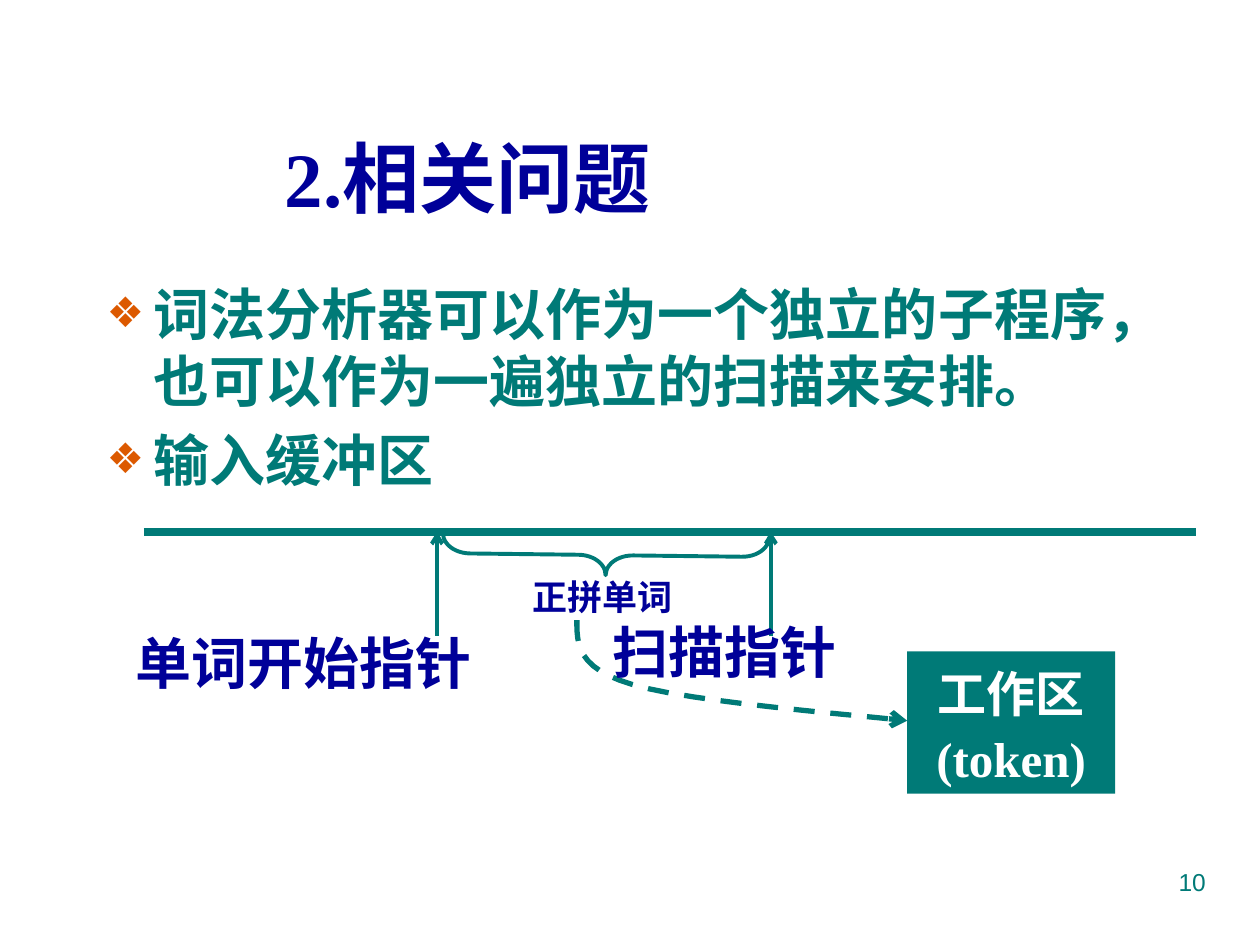
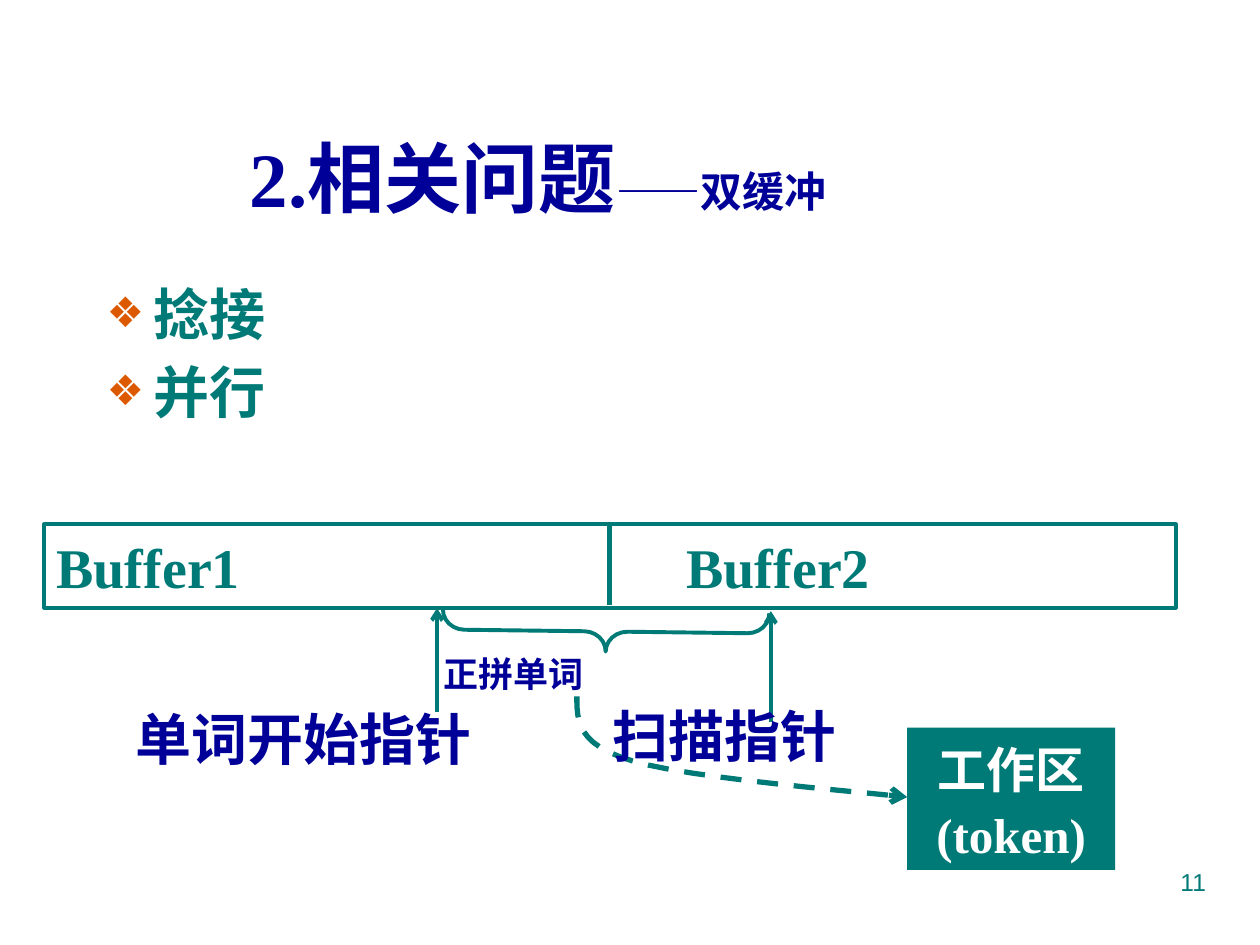
from lxml import etree
from pptx import Presentation
from pptx.dml.color import RGBColor
from pptx.enum import dml, lang, shapes, text
from pptx.oxml import ns
from pptx.util import Cm, Pt

TEAL = RGBColor(0x00, 0x7A, 0x77)
NAVY = RGBColor(0x00, 0x00, 0x99)
ORANGE = "DC5900"
WHITE = RGBColor(0xFF, 0xFF, 0xFF)
SERIF, SANS = "Times New Roman", "Arial"
BULLET_INDENT = Cm(0.95)


def add_xml(parent, tag, **attrs):
    return etree.SubElement(parent, ns.qn(tag), attrs)


def bezier(p0, p1, p2, p3, steps=12):
    """Points along a cubic curve, without its start."""
    for i in range(1, steps + 1):
        t = i / steps
        yield tuple((1 - t) ** 3 * a + 3 * (1 - t) ** 2 * t * b
                    + 3 * (1 - t) * t ** 2 * c + t ** 3 * d
                    for a, b, c, d in zip(p0, p1, p2, p3))


class Deck:
    """Holds the style and the current slide; positions are in centimetres."""

    def __init__(self):
        self.prs = Presentation()
        self.prs.slide_width, self.prs.slide_height = Cm(25.4), Cm(19.05)
        self.s = None

    # Text
    def run(self, p, words, size, color, font=SERIF, bold=True):
        r = p.add_run()
        r.text = words
        r.font.size, r.font.name, r.font.bold = Pt(size), font, bold
        r.font.color.rgb = color
        r.font.language_id = lang.MSO_LANGUAGE_ID.SIMPLIFIED_CHINESE

    def textbox(self, x, y, w, h):
        tf = self.s.shapes.add_textbox(Cm(x), Cm(y), Cm(w), Cm(h)).text_frame
        tf.word_wrap = True
        return tf

    def new_slide(self, number, title_width, *title_runs):
        self.s = self.prs.slides.add_slide(self.prs.slide_layouts[5])
        sp = self.s.shapes.title
        sp.left, sp.top, sp.width, sp.height = Cm(3.2), Cm(2.34), Cm(title_width), Cm(2.44)
        tf = sp.text_frame
        tf.auto_size = text.MSO_AUTO_SIZE.NONE
        tf.vertical_anchor = text.MSO_ANCHOR.MIDDLE
        p = tf.paragraphs[0]
        p.alignment = text.PP_ALIGN.CENTER
        for words, size in title_runs:
            self.run(p, words, size, NAVY)
        # Page number
        p = self.textbox(18.21, 17.35, 6.35, 1.32).paragraphs[0]
        p.alignment = text.PP_ALIGN.RIGHT
        self.run(p, str(number), 14, TEAL, SANS, bold=False)

    def bullets(self, height, *items):
        tf = self.textbox(1.9, 5.51, 22, height)
        for i, item in enumerate(items):
            p = tf.add_paragraph() if i else tf.paragraphs[0]
            p.space_before = Pt(6.4 if i else 0)
            pPr = p._p.get_or_add_pPr()
            pPr.set("marL", str(BULLET_INDENT))
            pPr.set("indent", str(-BULLET_INDENT))
            add_xml(add_xml(pPr, "a:buClr"), "a:srgbClr", val=ORANGE)
            add_xml(pPr, "a:buSzPct", val="75000")
            add_xml(pPr, "a:buFont", typeface=SANS)
            add_xml(pPr, "a:buChar", char="❖")
            self.run(p, item, 32, TEAL)

    def label(self, x, y, w, h, words, size):
        p = self.textbox(x, y, w, h).paragraphs[0]
        p.line_spacing = 1.1
        self.run(p, words, size, NAVY)

    # Lines and shapes
    def stroke(self, sp, width, arrow=False):
        sp.line.color.rgb = TEAL
        sp.line.width = Pt(width)
        if arrow:
            add_xml(sp.line._get_or_add_ln(), "a:tailEnd", type="arrow")

    def line(self, x1, y1, x2, y2, width=2.25, arrow=False):
        c = self.s.shapes.add_connector(
            shapes.MSO_CONNECTOR.STRAIGHT, Cm(x1), Cm(y1), Cm(x2), Cm(y2))
        self.stroke(c, width, arrow)
        add_xml(c._element.spPr, "a:effectLst")

    def shape(self, kind, x, y, w, h, fill=None):
        sp = self.s.shapes.add_shape(kind, Cm(x), Cm(y), Cm(w), Cm(h))
        sp.shadow.inherit = False
        if fill is None:
            sp.fill.background()
            self.stroke(sp, 2.25)
        else:
            sp.fill.solid()
            sp.fill.fore_color.rgb = fill
            sp.line.fill.background()
        return sp

    def dashed_curve(self, start, *segments):
        points = [start]
        for segment in segments:
            points += bezier(points[-1], *segment)
        points = [(Cm(x), Cm(y)) for x, y in points]
        builder = self.s.shapes.build_freeform(*points[0])
        builder.add_line_segments(points[1:], close=False)
        sp = builder.convert_to_shape()
        sp.shadow.inherit = False
        sp.fill.background()
        sp.line.dash_style = dml.MSO_LINE.DASH
        self.stroke(sp, 3, arrow=True)

    # Diagram of the two pointers, the current word and the work area
    def pointers(self, top, scan_top, scan_bottom, scan_label, word_x, brace_curl):
        work = self.shape(shapes.MSO_SHAPE.RECTANGLE, 18.29, top + 2.41, 4.19, 2.87, TEAL)
        tf = work.text_frame
        tf.word_wrap = True
        tf.vertical_anchor = text.MSO_ANCHOR.TOP
        p = tf.paragraphs[0]
        p.alignment = text.PP_ALIGN.CENTER
        p.line_spacing = 1.1
        self.run(p, "工作区(token)", 28, WHITE)

        y = top + 1.78
        self.dashed_curve(
            (11.63, y),
            ((11.63, y + 0.49), (11.63, y + 0.97), (12.75, y + 1.3)),
            ((13.87, y + 1.65), (17.42, y + 1.93), (18.29, y + 2.03)))

        self.line(8.81, top + 2.1, 8.81, top, arrow=True)
        self.label(2.49, top + 1.69, 8.41, 1.75, "单词开始指针", 32)
        self.line(15.54, scan_bottom, 15.54, scan_top, arrow=True)
        self.label(12.09, scan_label, 6.83, 1.75, "扫描指针", 32)

        brace = self.shape(shapes.MSO_SHAPE.LEFT_BRACE, 11.81, top - 2.82, 0.81, 6.58)
        brace.rotation = 270.7
        brace.adjustments[0] = brace_curl
        self.label(word_x, top + 0.68, 4.01, 1.19, "正拼单词", 20)

    def double_buffer(self):
        sp = self.shape(shapes.MSO_SHAPE.RECTANGLE, 0.89, 10.57, 22.81, 1.68)
        p = sp.text_frame.paragraphs[0]
        p.alignment = text.PP_ALIGN.LEFT
        tabs = add_xml(p._p.get_or_add_pPr(), "a:tabLst")
        add_xml(tabs, "a:tab", pos=str(Cm(12.7)), algn="l")
        self.run(p, "Buffer1\tBuffer2", 32, TEAL)
        self.line(12.29, 10.57, 12.29, 12.19, width=3)


def main():
    deck = Deck()
    heading = ("2.相关问题", 44)

    # Single input buffer
    deck.new_slide(10, 12.47, heading)
    deck.bullets(4.65, "词法分析器可以作为一个独立的子程序，也可以作为一遍独立的扫描来安排。",
                 "输入缓冲区")
    deck.line(2.9, 10.72, 24.1, 10.72, width=4.5)
    deck.pointers(10.72, scan_top=10.72, scan_bottom=12.83, scan_label=12.19,
                  word_x=10.49, brace_curl=0.68)

    # Double buffer
    deck.new_slide(11, 15.29, heading, ("——双缓冲", 24))
    deck.bullets(3.43, "捻接", "并行")
    deck.pointers(12.26, scan_top=12.32, scan_bottom=14.55, scan_label=13.89,
                  word_x=8.69, brace_curl=0.54)
    deck.double_buffer()

    deck.prs.save("out.pptx")


if __name__ == "__main__":
    main()
